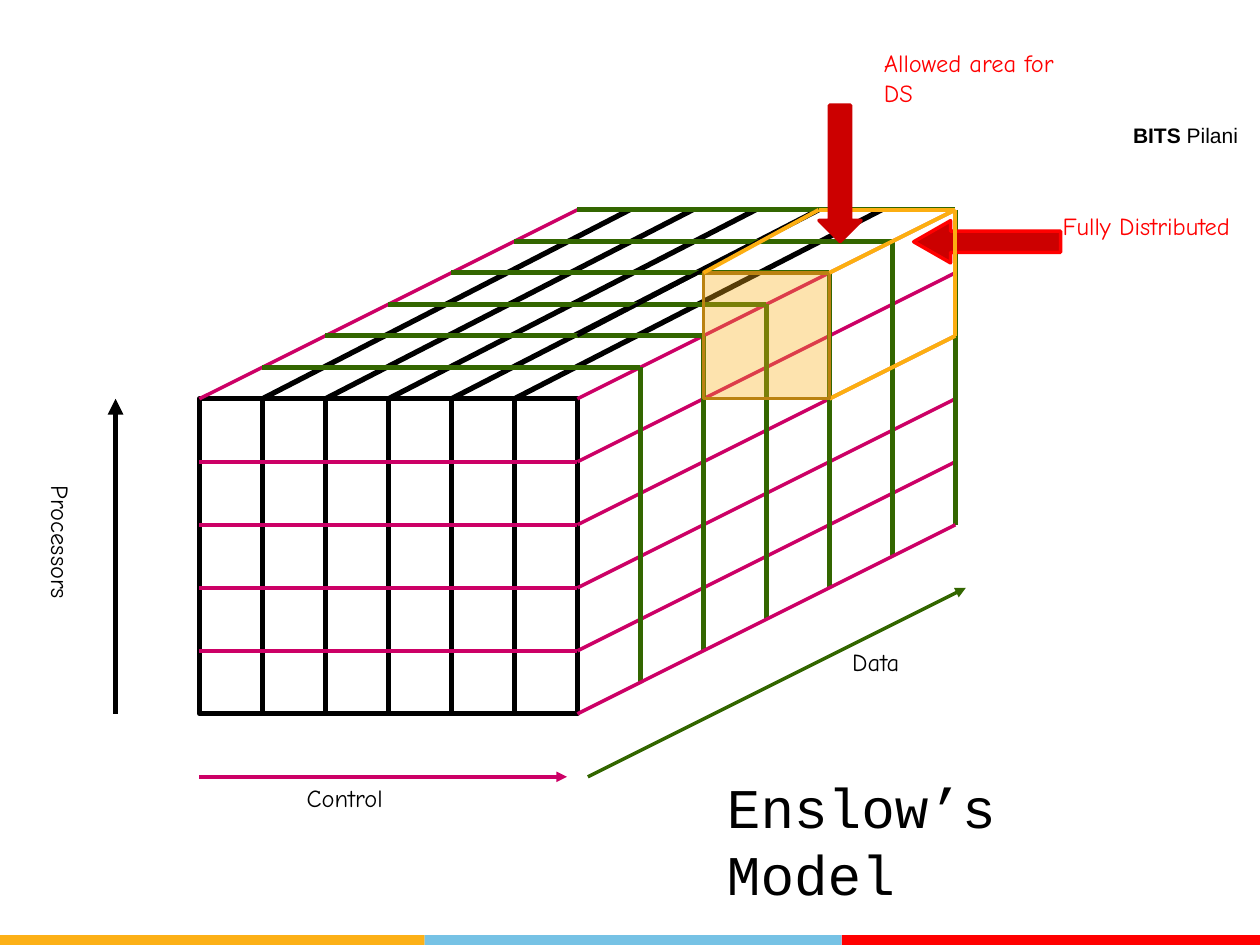
from dataclasses import dataclass

from lxml.etree import SubElement
from pptx import Presentation
from pptx.dml.color import RGBColor
from pptx.enum.shapes import MSO_CONNECTOR, MSO_SHAPE
from pptx.enum.text import MSO_ANCHOR, MSO_AUTO_SIZE, PP_ALIGN
from pptx.oxml.ns import qn
from pptx.util import Cm, Pt

BLACK, PINK, GREEN = "000000", "CC0066", "336600"
RED, DARK_RED = "FF0000", "CC0000"
AMBER, ORANGE, BROWN = "FCB017", "FCAE11", "BA8211"
LEFT, TOP, CELL = 4.02, 8.04, 1.27
COLS, ROWS, DEPTH = 6, 5, 6
BACK_SHIFT = 0.17

Point = tuple[float, float]
Box = tuple[float, float, float, float]


@dataclass
class Line:
    start: Point
    end: Point
    color: str
    width: float
    arrow: bool = False


@dataclass
class Block:
    kind: MSO_SHAPE
    box: Box
    fill: str | None = None
    line: str | None = None
    width: float = 2
    alpha: int = 100


@dataclass
class Label:
    runs: list[tuple[str, bool]]
    box: Box
    color: str = BLACK
    size: int = 14
    font: str = "Comic Neue"
    align: PP_ALIGN = PP_ALIGN.LEFT
    rotation: int = 0


def rgb(color: str) -> RGBColor:
    return RGBColor.from_string(color)


def cube(col: float, row: float, depth: float = 0) -> Point:
    return LEFT + CELL * (col + depth), TOP + CELL * (row - depth / 2)


def draw_line(s, line: Line) -> None:
    sp = s.shapes.add_connector(
        MSO_CONNECTOR.STRAIGHT, *(Cm(v) for v in line.start + line.end))
    sp.line.color.rgb = rgb(line.color)
    sp.line.width = Pt(line.width)
    if line.arrow:
        SubElement(sp.line._get_or_add_ln(), qn("a:tailEnd"), type="triangle")
    SubElement(sp._element.spPr, qn("a:effectLst"))


def draw_block(s, block: Block):
    sp = s.shapes.add_shape(block.kind, *(Cm(v) for v in block.box))
    sp.shadow.inherit = False
    if block.fill:
        sp.fill.solid()
        sp.fill.fore_color.rgb = rgb(block.fill)
        if block.alpha < 100:
            color = sp._element.spPr.find(qn("a:solidFill"))[0]
            SubElement(color, qn("a:alpha"), val=str(block.alpha * 1000))
    else:
        sp.fill.background()
    if block.line:
        sp.line.color.rgb = rgb(block.line)
        sp.line.width = Pt(block.width)
    else:
        sp.line.fill.background()
    return sp


def write_label(sp, label: Label) -> None:
    for name, value in zip(("left", "top", "width", "height"), label.box):
        setattr(sp, name, Cm(value))
    sp.rotation = label.rotation
    tf = sp.text_frame
    frame = {"word_wrap": True, "auto_size": MSO_AUTO_SIZE.NONE,
             "vertical_anchor": MSO_ANCHOR.TOP}
    for name, value in frame.items():
        setattr(tf, name, value)
    p = tf.paragraphs[0]
    p.alignment = label.align
    p.space_before = Pt(0)
    for text, bold in label.runs:
        r = p.add_run()
        r.text = text
        style = {"name": label.font, "size": Pt(label.size), "bold": bold}
        for name, value in style.items():
            setattr(r.font, name, value)
        r.font.color.rgb = rgb(label.color)


def draw_label(s, label: Label) -> None:
    write_label(s.shapes.add_textbox(*(Cm(v) for v in label.box)), label)


def draw_cube(s) -> None:
    for col in range(COLS):
        draw_block(s, Block(MSO_SHAPE.RECTANGLE,
                            (*cube(col, 0), CELL, ROWS * CELL), None, BLACK, 3))
    lines = [Line(cube(0, row), cube(COLS, row), PINK, 2) for row in range(1, ROWS)]
    lines += [Line(cube(COLS, row), cube(COLS, row, DEPTH), PINK, 2)
              for row in range(ROWS)]
    lines += [Line(cube(COLS, 0, d), cube(COLS, ROWS, d), GREEN, 3)
              for d in range(1, DEPTH + 1)]
    lines += [Line(cube(col, row), cube(col, row, DEPTH), PINK, 2)
              for col, row in ((COLS, ROWS), (0, 0))]
    lines += [Line(cube(col, 0), cube(col - BACK_SHIFT, 0, DEPTH), BLACK, 3)
              for col in range(1, COLS)]
    lines += [Line(cube(0, 0, d), cube(COLS, 0, d), GREEN, 3)
              for d in range(1, DEPTH + 1)]
    for line in lines:
        draw_line(s, line)


def draw_allowed_area(s) -> None:
    back_left = cube(4 - BACK_SHIFT, 0, DEPTH)
    front_left, front_right = cube(4, 0, 4), cube(COLS, 0, 4)
    back_right, back_bottom = cube(COLS, 0, DEPTH), cube(COLS, 2, DEPTH)
    draw_line(s, Line(cube(4, 0, 2), back_left, BLACK, 2))
    draw_line(s, Line(back_bottom, cube(COLS, 2, 4), ORANGE, 2.25))
    draw_block(s, Block(MSO_SHAPE.RECTANGLE, (*front_left, 2 * CELL, 2 * CELL),
                        AMBER, BROWN, 2, 35))
    for start, end in ((front_right, back_right), (back_right, back_bottom),
                       (front_left, back_left), (back_left, back_right)):
        draw_line(s, Line(start, end, ORANGE, 2.25))


def main() -> None:
    prs = Presentation()
    prs.slide_width, prs.slide_height = Cm(25.4), Cm(19.05)
    s = prs.slides.add_slide(prs.slide_layouts[5])
    write_label(s.shapes.title, Label([("Enslow’s Model", False)],
                                      (14.4, 15.45, 9.95, 1.6),
                                      size=32, font="Courier New"))

    for left, width, color in ((0, 8.56, AMBER), (8.56, 8.41, "76C2E5"),
                               (16.97, 8.43, RED)):
        draw_block(s, Block(MSO_SHAPE.RECTANGLE, (left, 18.85, width, 0.2), color))
    draw_label(s, Label([("BITS", True), (" Pilani", False)],
                        (22.48, 2.34, 2.84, 0.74), size=12, font="Arial",
                        align=PP_ALIGN.CENTER))

    draw_cube(s)
    for axis in (Line((2.33, 14.39), (2.33, 8.04), BLACK, 3, True),
                 Line((4.02, 15.66), (11.43, 15.66), PINK, 2, True),
                 Line((11.85, 15.66), (19.47, 11.85), GREEN, 2, True)):
        draw_line(s, axis)

    sp = draw_block(s, Block(MSO_SHAPE.LEFT_ARROW, (18.42, 4.45, 2.96, 0.85),
                             DARK_RED, RED))
    sp.adjustments[1] = 0.875
    draw_allowed_area(s)
    draw_block(s, Block(MSO_SHAPE.DOWN_ARROW, (16.51, 2.12, 0.85, 2.75),
                        DARK_RED, DARK_RED))

    for label in (
        Label([("Fully Distributed", False)], (21.17, 4.13, 4.23, 1.78), RED),
        Label([("Control", False)], (5.93, 15.66, 6.14, 1.02)),
        Label([("Processors", False)], (-1.93, 12.1, 6.14, 1.02), rotation=90),
        Label([("Data", False)], (16.93, 12.91, 4.23, 1.02)),
        Label([("Allowed area for DS", False)], (17.57, 0.85, 4.23, 1.8), RED),
    ):
        draw_label(s, label)
    prs.save("out.pptx")


if __name__ == "__main__":
    main()
